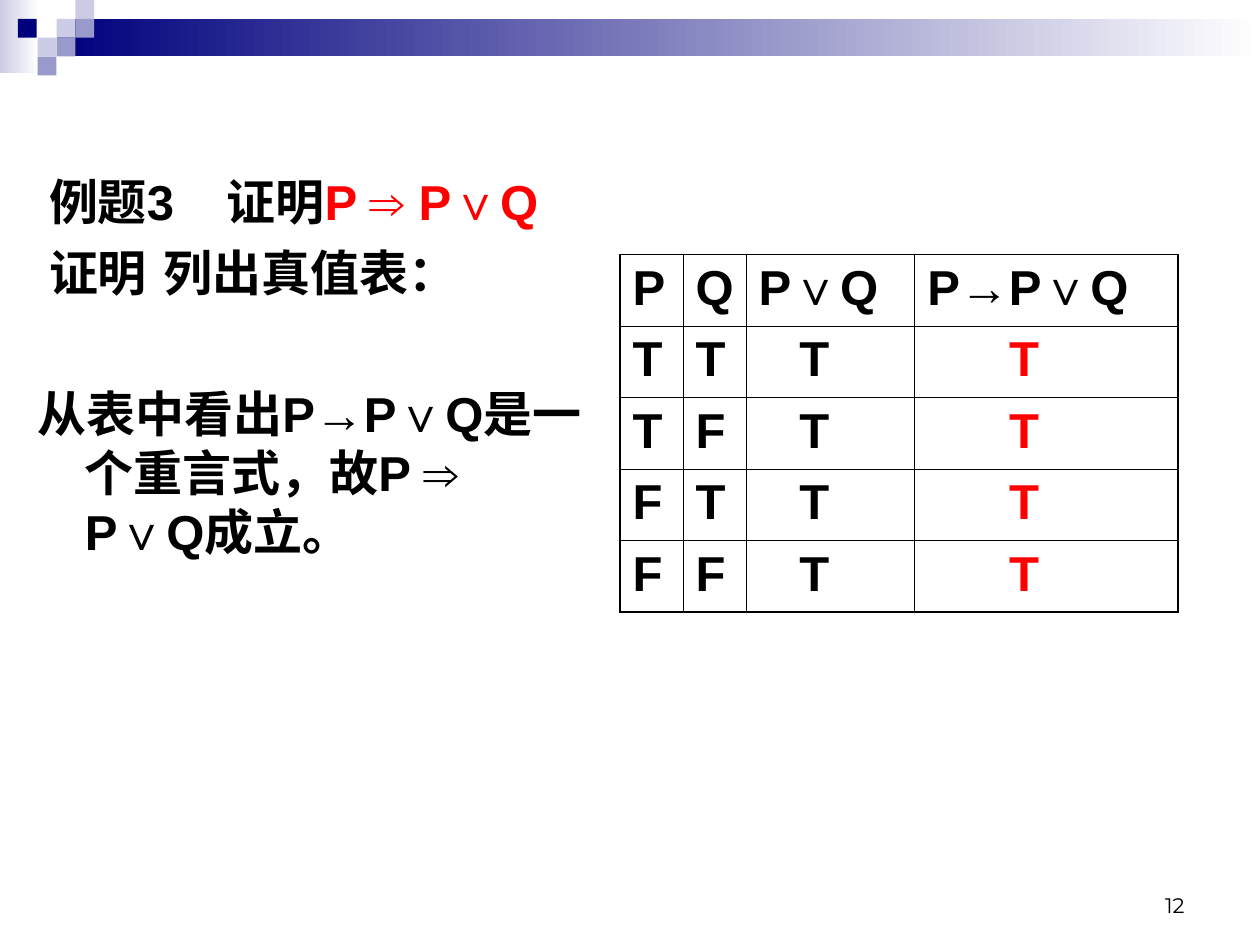
from pptx import Presentation
from pptx.dml.color import RGBColor
from pptx.enum.shapes import MSO_SHAPE as Geo
from pptx.enum.text import MSO_ANCHOR as Anchor, PP_ALIGN as Align
from pptx.oxml.xmlchemy import OxmlElement as Node
from pptx.util import Cm, Pt

BLACK, RED, WHITE = "000000", "FF0000", "FFFFFF"
NAVY, LILAC, PALE = "00007D", "9999CC", "CCCCE6"
BOLD = {"name": "Arial", "size": Pt(28), "bold": True}
SMALL = {"name": "Montserrat", "size": Pt(12), "bold": False}
UNIT = 0.38  # side of a decoration square, cm


def rgb(code):
    return RGBColor.from_string(code)


def add_run(para, text, color=BLACK, style=BOLD):
    run = para.add_run()
    run.text = text
    for key, value in style.items():
        setattr(run.font, key, value)
    run.font.color.rgb = rgb(color)


def indent(para, left=0, first=0, tab=None):
    props = para._p.get_or_add_pPr()
    props.set("marL", str(Cm(left)))
    props.set("indent", str(Cm(first)))
    if tab:
        stops, stop = Node("a:tabLst"), Node("a:tab")
        stop.set("pos", str(Cm(tab)))
        stop.set("algn", "l")
        stops.append(stop)
        props.append(stops)


def add_box(slide, left, top, width, height):
    box = slide.shapes.add_textbox(Cm(left), Cm(top), Cm(width), Cm(height))
    box.text_frame.word_wrap = True
    return box.text_frame


def add_block(slide, left, top, width, height, *colors):
    """Plain rectangle; two colours make a left-to-right gradient."""
    block = slide.shapes.add_shape(
        Geo.RECTANGLE, Cm(left), Cm(top), Cm(width), Cm(height))
    block.shadow.inherit = False
    block.line.fill.background()
    if len(colors) == 1:
        block.fill.solid()
        block.fill.fore_color.rgb = rgb(colors[0])
    else:
        block.fill.gradient()
        block.fill.gradient_angle = 0
        for stop, color in zip(block.fill.gradient_stops, colors):
            stop.color.rgb = rgb(color)


def add_band(slide):
    add_block(slide, 0, 0, 0.79, 1.47, PALE, WHITE)
    add_block(slide, 1.14, UNIT, 24.26, 0.76, NAVY, WHITE)
    squares = [(3, 1, PALE), (4, 0, PALE), (4, 1, LILAC), (2, 2, PALE),
               (0.95, 1, NAVY), (3, 2, LILAC), (2, 3, LILAC)]
    for col, row, color in squares:
        add_block(slide, col * UNIT, row * UNIT, UNIT, UNIT, color)


def add_proof(slide):
    frame = add_box(slide, 0.51, 3.33, 11.66, 10.8)
    task = frame.paragraphs[0]
    indent(task, first=0.23, tab=3.79)
    add_run(task, "例题3\t证明")
    add_run(task, "P ⇒ P∨Q", RED)

    proof = frame.add_paragraph()
    indent(proof, first=0.23, tab=2.64)
    proof.space_before = Pt(7)
    add_run(proof, "证明\t列出真值表：")

    close = frame.add_paragraph()
    indent(close, left=0.95, first=-0.95)
    close.space_before = Pt(47)
    add_run(close, "从表中看出P→P∨Q是一个重言式，故P ⇒ P∨Q成立。")


def add_edge(cell, side, width):
    line = Node(f"a:ln{side}")
    line.set("w", str(Pt(width)))
    fill, color = Node("a:solidFill"), Node("a:srgbClr")
    color.set("val", BLACK)
    fill.append(color)
    line.append(fill)
    cell._tc.get_or_add_tcPr().append(line)


def add_truth(slide):
    heads = ["P", "Q", "P∨Q", "P→P∨Q"]
    rows = [heads] + [[p, q, "T", "T"] for p in "TF" for q in "TF"]
    widths = [1.27, 1.27, 3.4, 5.31]
    pads = [0, 0, 0.82, 1.65]
    high, wide = len(rows), len(heads)
    table = slide.shapes.add_table(
        high, wide, Cm(12.5), Cm(5.13), Cm(sum(widths)), Cm(7.2)).table
    table.first_row = table.horz_banding = False
    for col, width in zip(table.columns, widths):
        col.width = Cm(width)
    for r, row in enumerate(rows):
        for c, text in enumerate(row):
            cell = table.cell(r, c)
            outer = {"L": c == 0, "R": c == wide - 1,
                     "T": r == 0, "B": r == high - 1}
            for side, edge in outer.items():
                add_edge(cell, side, 1.08 if edge else 0.45)
            cell.fill.background()
            para = cell.text_frame.paragraphs[0]
            if r:
                indent(para, left=pads[c])
            add_run(para, text, RED if r and c == wide - 1 else BLACK)


def add_page(slide):
    frame = add_box(slide, 18.2, 17.35, 5.93, 1.27)
    frame.vertical_anchor = Anchor.BOTTOM
    para = frame.paragraphs[0]
    para.alignment = Align.RIGHT
    add_run(para, "12", style=SMALL)


def main():
    deck = Presentation()
    deck.slide_width, deck.slide_height = Cm(25.4), Cm(19.05)
    slide = deck.slides.add_slide(deck.slide_layouts[6])
    add_band(slide)   # top decoration
    add_page(slide)   # slide number
    add_proof(slide)  # example and proof
    add_truth(slide)  # truth table
    deck.save("out.pptx")


if __name__ == "__main__":
    main()
